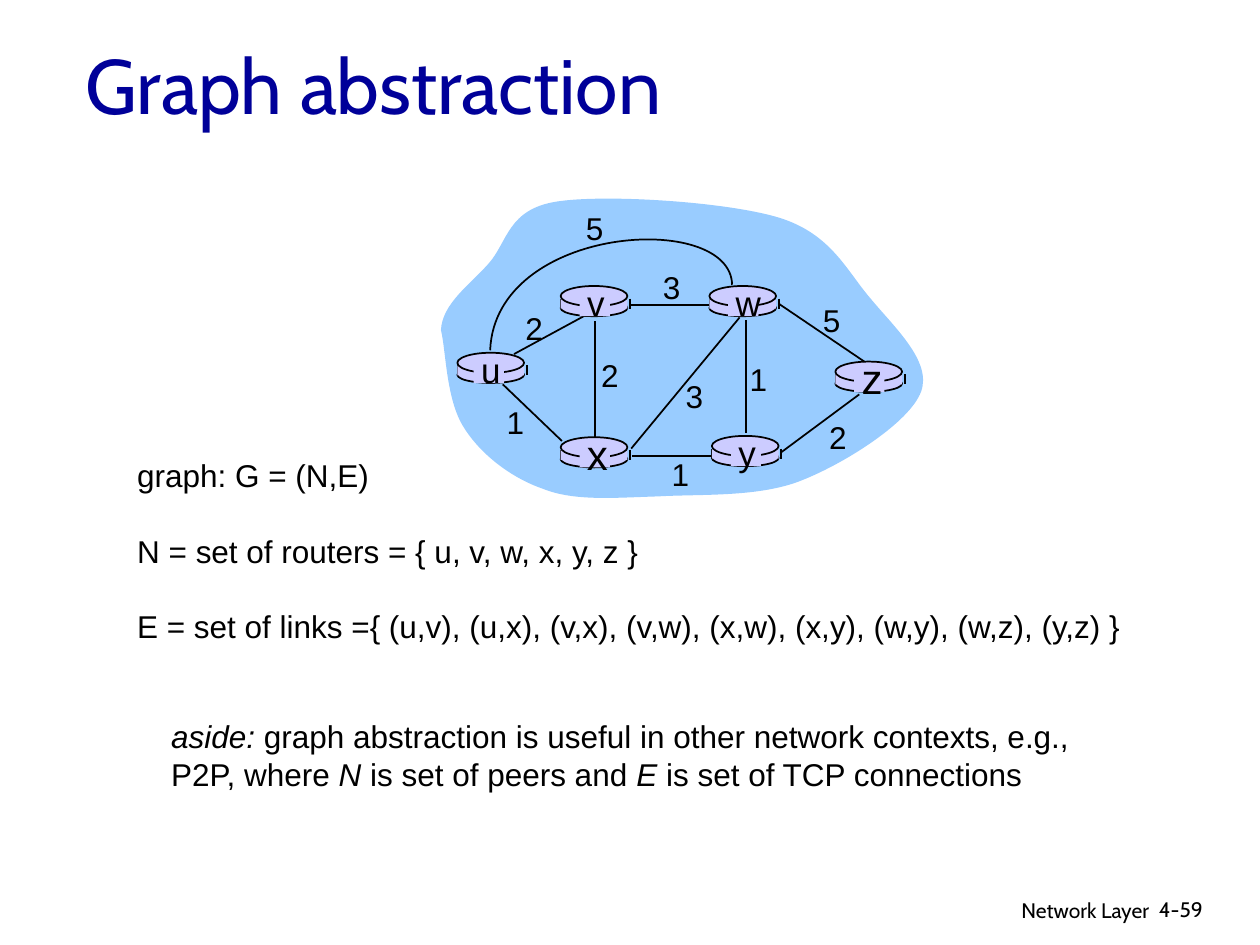
from dataclasses import dataclass

from lxml.etree import SubElement
from pptx import Presentation
from pptx.dml.color import RGBColor
from pptx.enum.shapes import MSO_CONNECTOR, MSO_SHAPE
from pptx.enum.text import MSO_ANCHOR, PP_ALIGN
from pptx.oxml.ns import qn
from pptx.util import Emu, Inches, Pt

Point = tuple[float, float]
COLS, ROWS = 100, 75
BLACK, NAVY, SKY, LILAC = "000000", "000099", "99CCFF", "CCCCFF"
LINE_HEIGHT = 21.6


@dataclass
class Router:
    name: str
    x: float
    y: float
    size: int = 20
    mid: float = 2.8


@dataclass
class Link:
    start: Point
    end: Point
    weight: str
    label: Point


ROUTERS = [
    Router("u", 36.3, 28, mid=2.6),
    Router("x", 44.5, 34.7, size=24),
    Router("v", 44.5, 22.7),
    Router("w", 56.3, 22.7),
    Router("y", 56.5, 34.6),
    Router("z", 66.3, 28.7, size=24),
]
UV_LINK = Link((40.8, 28.1), (46.7, 24.9), "2", (42.4, 26))
LINKS = [
    Link((59.2, 25.4), (59.2, 34.4), "1", (60.2, 30.1)),
    Link((47.2, 25.5), (47.2, 34.7), "2", (48.4, 29.8)),
    Link((50.1, 35.6), (58.7, 25.2), "3", (55.1, 31.4)),
    Link((62, 35.9), (68.2, 31.3), "2", (66.5, 34.7)),
    Link((56.4, 36.2), (50.2, 36.2), "1", (54, 37.6)),
    Link((44.6, 35), (39.9, 30.5), "1", (40.9, 33.5)),
    Link((56.3, 24.2), (50.1, 24.2), "3", (53.3, 22.8)),
    Link((68.6, 28.7), (61.8, 24.1), "5", (66, 25.4)),
]
ARC = [(58.1, 22.6), (58, 16.7), (39.3, 17.8), (38.9, 27.8)]
CLOUD = [
    (35, 26.2), (35.1, 24.1), (37.3, 22.6), (38.8, 20.9),
    (40.3, 19.2), (40.3, 16.6), (44.2, 16), (48, 15.4), (57.7, 16), (61.9, 17.3),
    (66, 18.6), (67.2, 21.5), (69.1, 23.7), (71, 26), (74, 28.7), (73.1, 31.1),
    (72.2, 33.5), (67.2, 36.7), (63.7, 38.1), (60.3, 39.5), (55.6, 39.2), (52.2, 39.4),
    (48.8, 39.5), (45.6, 39.8), (43.1, 38.8), (40.5, 37.9), (38.1, 36), (36.8, 33.9),
    (35.4, 31.7), (35.4, 27.8), (35, 26.2),
]
GRAPH = [
    "graph: G = (N,E)",
    "N = set of routers = { u, v, w, x, y, z }",
    "E = set of links ={ (u,v), (u,x), (v,x), (v,w), (x,w), (x,y), (w,y), (w,z), (y,z) }",
]
ASIDE = [
    [("aside:", True), (" graph abstraction is useful in other network contexts, e.g.,", False)],
    [("P2P, where ", False), ("N", True), (" is set of peers and ", False), ("E", True),
     (" is set of TCP connections", False)],
]

prs = Presentation()
prs.slide_width, prs.slide_height = Inches(10), Inches(7.5)
slide = prs.slides.add_slide(prs.slide_layouts[5])
shapes = slide.shapes


def rgb(color: str) -> RGBColor:
    return RGBColor.from_string(color)


def grid(*cells: float) -> list[Emu]:
    """Turn alternating column and row counts into lengths."""
    units = prs.slide_width / COLS, prs.slide_height / ROWS
    return [Emu(round(n * units[i % 2])) for i, n in enumerate(cells)]


def paint(sp, fill: str | None, line: str | None) -> None:
    sp.shadow.inherit = False
    if fill:
        sp.fill.solid()
        sp.fill.fore_color.rgb = rgb(fill)
    else:
        sp.fill.background()
    if line:
        sp.line.color.rgb = rgb(line)
        sp.line.width = Pt(1)
    else:
        sp.line.fill.background()


def add_preset(kind: MSO_SHAPE, box: tuple, line: str | None = None) -> None:
    paint(shapes.add_shape(kind, *grid(*box)), LILAC, line)


def add_line(start: Point, end: Point) -> None:
    cn = shapes.add_connector(MSO_CONNECTOR.STRAIGHT, *grid(*start, *end))
    cn.line.color.rgb = rgb(BLACK)
    cn.line.width = Pt(1)
    SubElement(cn._element.spPr, qn("a:effectLst"))


def add_curve(points: list[Point], fill: str | None, line: str | None) -> None:
    """Draw a chain of cubic curves from a start and triples of control points."""
    start, *rest = [grid(*pt) for pt in points]
    builder = shapes.build_freeform(*start)
    builder.add_line_segments(rest, close=bool(fill))
    sp = builder.convert_to_shape()
    path = sp._element.find(".//" + qn("a:path"))
    steps = path.findall(qn("a:lnTo"))
    for i in range(0, len(steps), 3):
        curve = SubElement(path, qn("a:cubicBezTo"))
        steps[i].addprevious(curve)
        for step in steps[i:i + 3]:
            curve.append(step[0])
            path.remove(step)
    paint(sp, fill, line)


def style(p, size: int, color: str = BLACK, font: str = "Arial", align=PP_ALIGN.LEFT) -> None:
    p.font.size, p.font.name = Pt(size), font
    p.font.color.rgb = rgb(color)
    p.alignment = align


def add_text(box: tuple, lines: list, size: int, font: str = "Arial", align=PP_ALIGN.LEFT,
             gap: float = 0, wrap: bool = False) -> None:
    """Add a text box whose lines are lists of (text, italic) runs."""
    tf = shapes.add_textbox(*grid(*box)).text_frame
    tf.word_wrap = wrap
    for i, runs in enumerate(lines):
        p = tf.add_paragraph() if i else tf.paragraphs[0]
        for text, italic in runs:
            r = p.add_run()
            r.text = text
            if italic:
                r.font.italic = True
        style(p, size, font=font, align=align)
        if len(lines) > 1:
            p.line_spacing = Pt(LINE_HEIGHT)
        if i:
            p.space_before = Pt(gap)


def add_label(text: str, x: float, y: float, size: int) -> None:
    w, h = 3.4, 1 + size / 6
    add_text((x - w / 2, y - h / 2, w, h), [[(text, False)]], size, align=PP_ALIGN.CENTER)


def add_router(n: Router) -> None:
    w = 5.3
    add_preset(MSO_SHAPE.OVAL, (n.x, n.y + 1.1, w, 1.3), BLACK)
    for x in (n.x, n.x + 5.5):
        add_line((x, n.y + 1), (x, n.y + 1.8))
    add_preset(MSO_SHAPE.RECTANGLE, (n.x, n.y + 1, w, 0.8))
    add_preset(MSO_SHAPE.OVAL, (n.x, n.y, w, 1.6), BLACK)


title = shapes.title
title.left, title.top, title.width, title.height = grid(5.8, 2.3, 85, 8.7)
title.text_frame.text = "Graph abstraction"
title.text_frame.vertical_anchor = MSO_ANCHOR.MIDDLE
style(title.text_frame.paragraphs[0], 44, NAVY, "Cabin")

add_text((60.5, 70.7, 31.7, 3.1), [[("Network Layer", False)]], 12, "Cabin", PP_ALIGN.RIGHT, wrap=True)
add_text((91, 70.7, 7.4, 3), [[("4-59", False)]], 12, "Cabin", wrap=True)

add_curve(CLOUD, SKY, None)
add_line(UV_LINK.start, UV_LINK.end)
for router in ROUTERS:
    add_router(router)
for link in LINKS:
    add_line(link.start, link.end)
add_curve(ARC, None, BLACK)
for router in ROUTERS:
    add_preset(MSO_SHAPE.RECTANGLE, (router.x + router.mid - 1.3, router.y + 0.2, 2.4, 2.2))
    add_label(router.name, router.x + router.mid, router.y + 1.3, router.size)
for link in [UV_LINK, *LINKS]:
    add_label(link.weight, *link.label, 18)
add_label("5", 47.2, 18.1, 18)

add_text((9.9, 35.7, 80.9, 16), [[(line, False)] for line in GRAPH], 18, gap=LINE_HEIGHT)
add_text((12.6, 56.4, 80.2, 7), ASIDE, 18)

prs.save("out.pptx")
